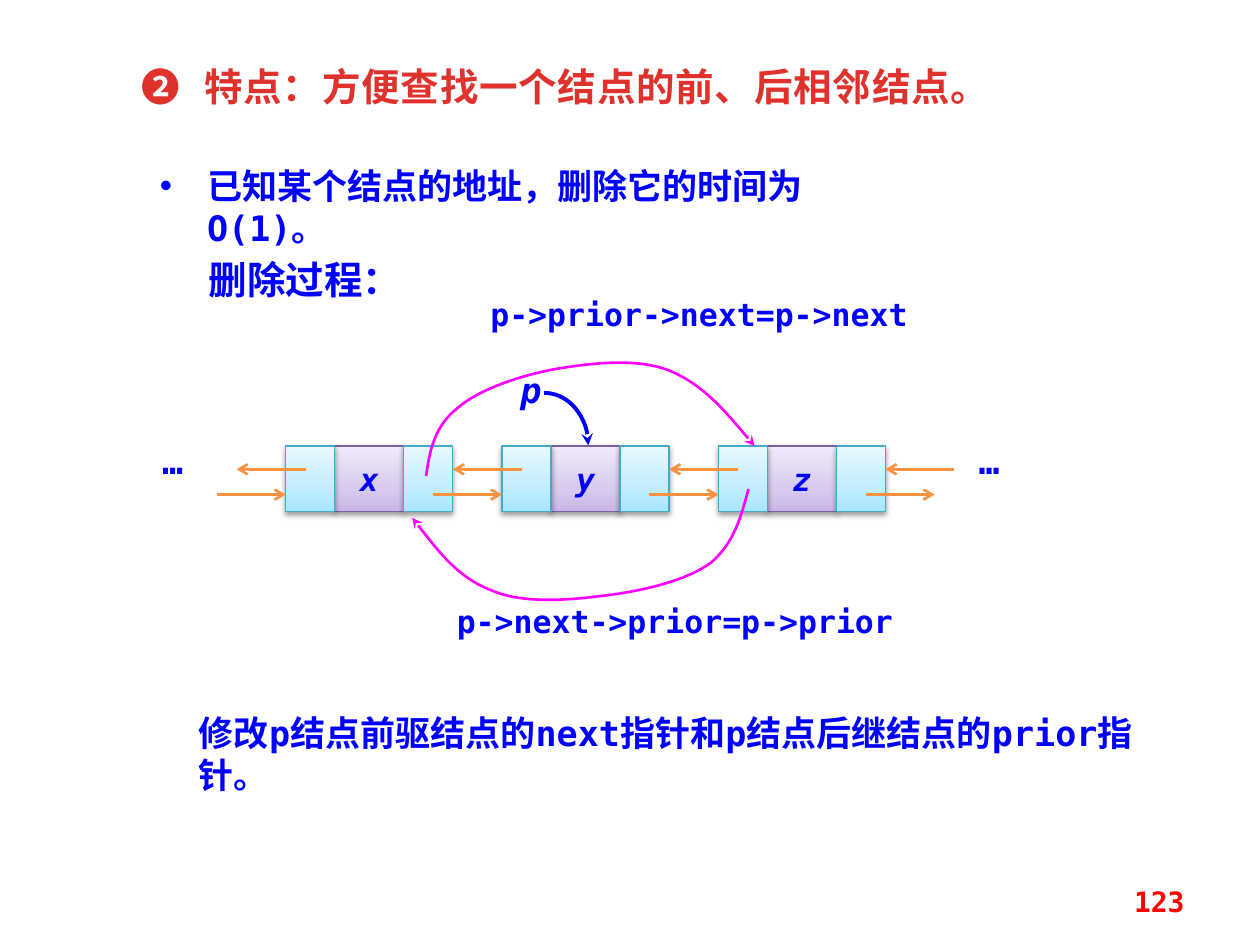
"""Build the slide on deleting a node from a doubly linked list."""
import copy

import lxml.etree
import pptx
import pptx.dml.color
import pptx.enum.shapes
import pptx.enum.text
import pptx.oxml.ns
import pptx.util

Cm, Pt = pptx.util.Cm, pptx.util.Pt
qn = pptx.oxml.ns.qn
SHAPES = pptx.enum.shapes.MSO_SHAPE
ALIGN = pptx.enum.text.PP_ALIGN
ANCHOR = pptx.enum.text.MSO_ANCHOR

THEME = {
    "font": "DejaVu Sans Mono",
    "heading": "E0322D", "ink": "0000FF", "page": "FF0000",
    "link": "F69240", "bypass": "FF00FF",
    "data": {"line": "7D60A0", "stops": ("C9B5E8", "D8CBEE", "F0EAF9")},
    "pointer": {"line": "46AAC5", "stops": ("A7E6FF", "C1EDFF", "E7F8FF")},
    "stop_positions": (0, 0.35, 1),
    "size": {"heading": 22, "body": 20, "code": 18, "page": 16},
}

HEADING = ("❷ 特点：方便查找一个结点的前、后相邻结点。", (2.59, 1.14, 17.86, 1.3))
DELETE_COST = ("已知某个结点的地址，删除它的时间为O(1)。", (2.97, 3.18, 15.88, 1.19))
LABELS = [
    ("删除过程：", (3.96, 5.03, 4.78, 1.3), "heading", ALIGN.LEFT),
    ("…", (2.59, 8.74, 1.78, 1.4), "body", ALIGN.CENTER),
    ("…", (19.05, 8.74, 1.78, 1.4), "body", ALIGN.CENTER),
    ("p->prior->next=p->next", (9.53, 5.82, 9.12, 1.09), "code", ALIGN.CENTER),
    ("p->next->prior=p->prior", (8.74, 12.01, 9.73, 1.09), "code", ALIGN.CENTER),
    ("修改p结点前驱结点的next指针和p结点后继结点的prior指针。",
     (3.76, 14.22, 19.84, 1.19), "body", ALIGN.LEFT),
]
POINTER_NAME = ("p", (10.31, 7.42, 0.79, 0.94))
POINTER_ARC = (10.08, 7.92, 1.78, 2.11)
PAGE = ("123", (18.21, 17.65, 5.92, 1.02))

NODES = ["x", "y", "z"]
NODE_LEFT, NODE_TOP, NODE_HEIGHT, NODE_PITCH = 5.76, 8.99, 1.32, 4.36
POINTER_WIDTH, DATA_WIDTH = 0.99, 1.39
NODE_WIDTH = 2 * POINTER_WIDTH + DATA_WIDTH
LINK_LENGTH, PRIOR_Y, NEXT_Y = 1.39, 9.46, 9.97

BYPASSES = [
    [(8.59, 9.6), (8.66, 9.09), (8.76, 8.59), (9.22, 8.23), (9.65, 7.85),
     (10.49, 7.57), (11.2, 7.44), (11.91, 7.32), (12.83, 7.21), (13.49, 7.47),
     (14.17, 7.75), (14.68, 8.36), (15.21, 8.99)],
    [(15.09, 9.86), (14.94, 10.41), (14.81, 10.92), (14.35, 11.33), (13.89, 11.68),
     (13.06, 11.89), (12.32, 11.99), (11.58, 12.09), (10.59, 12.19), (9.93, 11.91),
     (9.25, 11.66), (8.79, 11.05), (8.31, 10.44)],
]


def rgb(value):
    return pptx.dml.color.RGBColor.from_string(value)


def lengths(box):
    return [Cm(value) for value in box]


def write(holder, text, size, color="ink", align=ALIGN.LEFT, anchor=ANCHOR.TOP, italic=False):
    frame = holder.text_frame
    frame.text = text
    frame.word_wrap = True
    frame.auto_size = pptx.enum.text.MSO_AUTO_SIZE.NONE
    frame.vertical_anchor = anchor
    paragraph = frame.paragraphs[0]
    paragraph.alignment = align
    paragraph.space_before = Pt(0)
    run = paragraph.runs[0]
    run.font.name = THEME["font"]
    run.font.size = Pt(THEME["size"][size])
    run.font.bold, run.font.italic = True, italic
    run.font.color.rgb = rgb(THEME[color])
    properties = run._r.get_or_add_rPr()
    lxml.etree.SubElement(properties, qn("a:ea"), typeface=THEME["font"])
    return frame


def add_label(slide, text, box, size, **look):
    return write(slide.shapes.add_textbox(*lengths(box)), text, size, **look)


def place(placeholder, box):
    placeholder.left, placeholder.top, placeholder.width, placeholder.height = lengths(box)


def style_arrow(shape, color, width, head):
    shape.line.color.rgb = rgb(THEME[color])
    shape.line.width = Pt(width)
    lxml.etree.SubElement(shape.line._get_or_add_ln(), qn("a:tailEnd"), type=head)


def add_cell(slide, left, width, kind):
    cell = slide.shapes.add_shape(
        SHAPES.RECTANGLE, *lengths((left, NODE_TOP, width, NODE_HEIGHT)))
    cell.line.color.rgb = rgb(THEME[kind]["line"])
    cell.line.width = Pt(0.75)
    cell.fill.gradient()
    cell.fill.gradient_angle = 90
    stops = cell._element.spPr.find(".//" + qn("a:gsLst"))
    stops.insert(0, copy.deepcopy(stops[0]))
    for stop, color, position in zip(
            cell.fill.gradient_stops, THEME[kind]["stops"], THEME["stop_positions"]):
        stop.color.rgb = rgb(color)
        stop.position = position
    cell.shadow.inherit = False
    effects = cell._element.spPr.find(qn("a:effectLst"))
    shadow = lxml.etree.SubElement(effects, qn("a:outerShdw"), blurRad="40000",
                                   dist="20000", dir="5400000", rotWithShape="0")
    black = lxml.etree.SubElement(shadow, qn("a:srgbClr"), val="000000")
    lxml.etree.SubElement(black, qn("a:alpha"), val="38000")
    return cell


def add_node(slide, left, name):
    data_left = left + POINTER_WIDTH
    data = add_cell(slide, data_left, DATA_WIDTH, "data")
    write(data, name, "code", align=ALIGN.CENTER, anchor=ANCHOR.MIDDLE, italic=True)
    for pointer_left in (data_left + DATA_WIDTH, left):
        add_cell(slide, pointer_left, POINTER_WIDTH, "pointer")


def add_link(slide, start, end, y):
    link = slide.shapes.add_connector(
        pptx.enum.shapes.MSO_CONNECTOR.STRAIGHT, *lengths((start, y, end, y)))
    style_arrow(link, "link", 1.5, "arrow")
    lxml.etree.SubElement(link._element.spPr, qn("a:effectLst"))


def add_bypass(slide, points):
    start, *controls = [lengths(point) for point in points]
    builder = slide.shapes.build_freeform(*start)
    builder.add_line_segments(controls, close=False)
    curve = builder.convert_to_shape()
    outline = curve._element.spPr.find(".//" + qn("a:path"))
    segments = outline.findall(qn("a:lnTo"))
    for first in range(0, len(segments), 3):
        bezier = lxml.etree.SubElement(outline, qn("a:cubicBezTo"))
        for segment in segments[first:first + 3]:
            bezier.append(segment[0])
            outline.remove(segment)
    curve.fill.background()
    curve.shadow.inherit = False
    style_arrow(curve, "bypass", 1.5, "stealth")


def main():
    deck = pptx.Presentation()
    deck.slide_width, deck.slide_height = Cm(25.4), Cm(19.05)
    slide = deck.slides.add_slide(deck.slide_layouts[1])

    title, body = slide.shapes.title, slide.placeholders[1]
    place(title, HEADING[1])
    heading = write(title, HEADING[0], "heading", color="heading")
    heading.paragraphs[0].runs[0]._r.get_or_add_rPr().set("spc", "50")

    place(body, DELETE_COST[1])
    cost = write(body, DELETE_COST[0], "body").paragraphs[0]
    bullet = cost._p.get_or_add_pPr()
    bullet.set("marL", str(Cm(0.95)))
    bullet.set("indent", str(-Cm(0.95)))
    lxml.etree.SubElement(bullet, qn("a:buChar"), char="•")

    for index, name in enumerate(NODES):
        add_node(slide, NODE_LEFT + index * NODE_PITCH, name)
    for index in range(len(NODES) + 1):
        next_tip = NODE_LEFT + index * NODE_PITCH
        prior_tip = next_tip - NODE_PITCH + NODE_WIDTH
        add_link(slide, next_tip - LINK_LENGTH, next_tip, NEXT_Y)
        add_link(slide, prior_tip + LINK_LENGTH, prior_tip, PRIOR_Y)

    arc = slide.shapes.add_shape(SHAPES.ARC, *lengths(POINTER_ARC))
    arc.fill.background()
    arc.shadow.inherit = False
    style_arrow(arc, "ink", 2.25, "stealth")
    pointer = add_label(slide, *POINTER_NAME, "body", align=ALIGN.CENTER, italic=True)
    pointer.margin_left = pointer.margin_right = pointer.margin_top = pointer.margin_bottom = 0

    for points in BYPASSES:
        add_bypass(slide, points)
    for text, box, size, align in LABELS:
        add_label(slide, text, box, size, align=align)
    add_label(slide, *PAGE, "page", color="page", align=ALIGN.RIGHT, anchor=ANCHOR.MIDDLE)
    deck.save("out.pptx")


if __name__ == "__main__":
    main()
